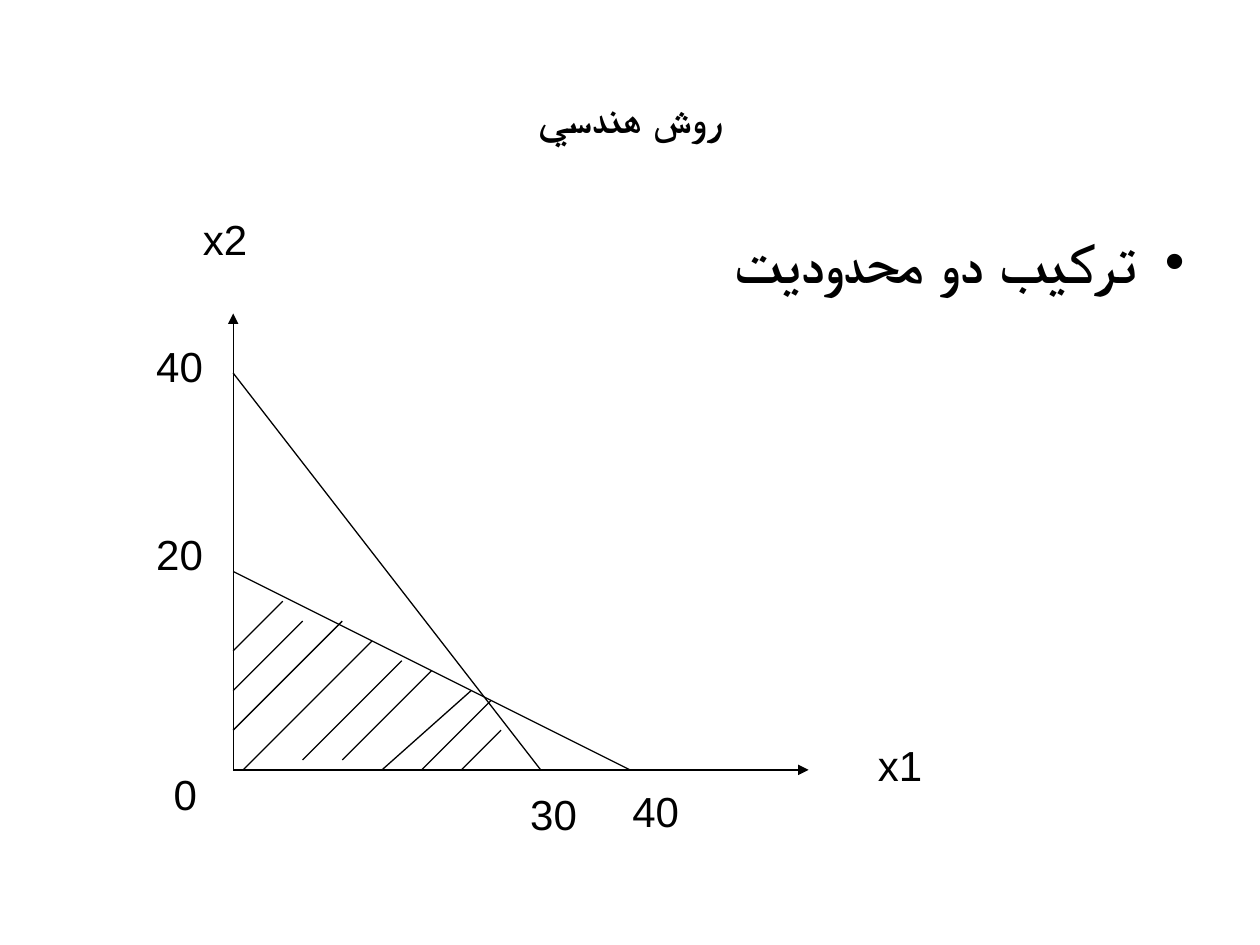
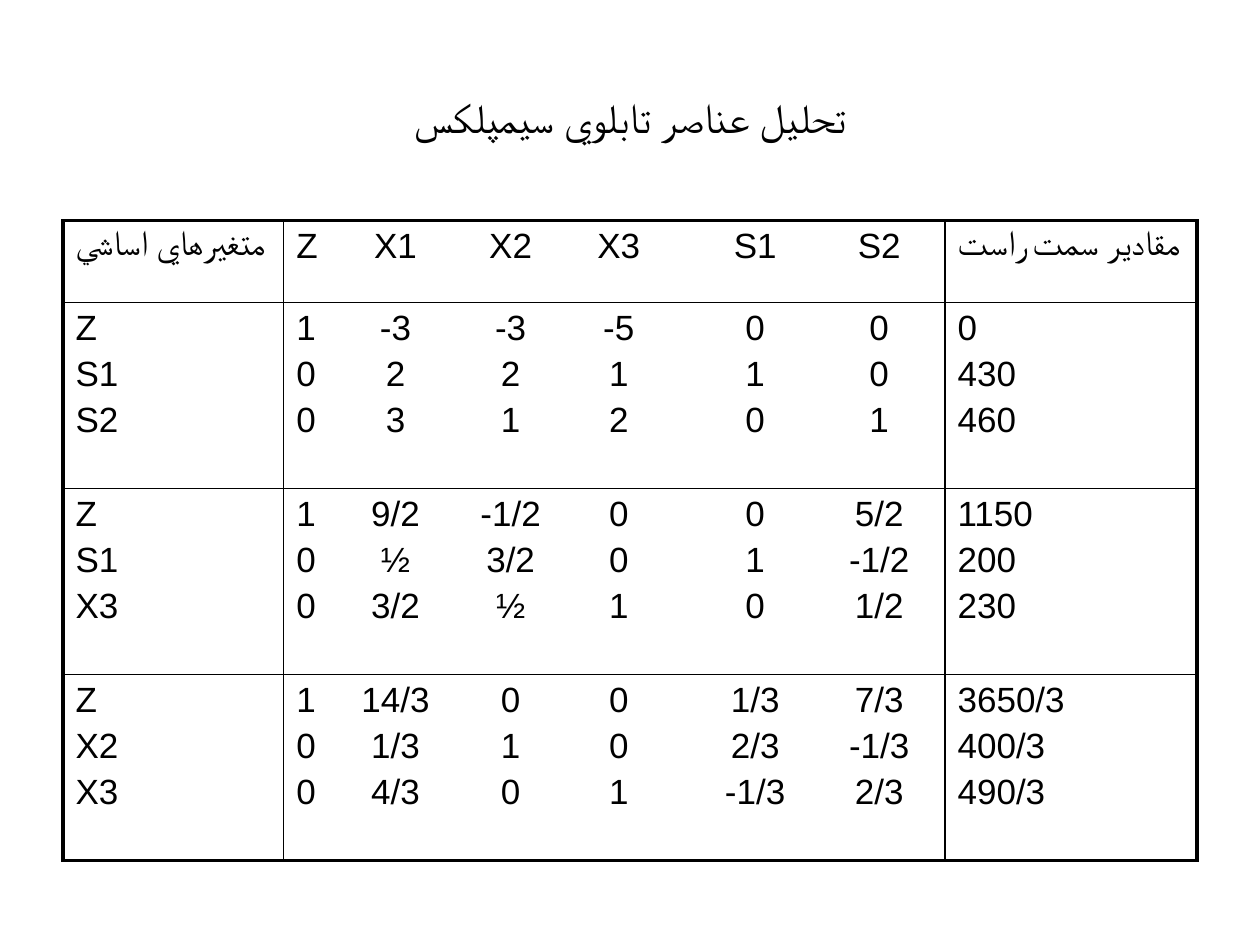
import pptx
import pptx.dml.color
import pptx.enum.shapes
import pptx.enum.text
import pptx.oxml.ns
import pptx.util
from lxml import etree
from pptx.util import Cm, Pt

BLACK = pptx.dml.color.RGBColor(0, 0, 0)
WHITE = pptx.dml.color.RGBColor(255, 255, 255)
FONT = "Arial"
ALIGN = pptx.enum.text.PP_ALIGN
qn = pptx.oxml.ns.qn

MARGIN = Cm(1.27)
CONTENT_WIDTH = Cm(22.86)
CONTENT_TOP = Cm(4.45)

# Graph: both axes share one scale
UNIT = 0.2
ORIGIN_X, ORIGIN_Y = 4.7, 15.52
AXES = [((0, 0), (0, 46)), ((0, 0), (58, 0))]
CONSTRAINTS = [((0, 40), (31, 0)), ((0, 20), (40, 0))]
HATCHING = [
    ((5, 17), (0, 12)), ((7, 15), (0, 8)), ((11, 15), (0, 4)),
    ((14, 13), (1, 0)), ((17, 11), (7, 1)), ((20, 10), (11, 1)),
    ((24, 8), (15, 0)), ((26, 7), (19, 0)), ((27, 4), (23, 0)),
]
GRAPH_LABELS = [
    ("x2", 3.84, 4.17, 1.4), ("40", 2.9, 6.73, 1.45), ("20", 2.9, 10.52, 1.45),
    ("0", 3.25, 15.37, 0.99), ("30", 10.44, 15.77, 1.45),
    ("40", 12.5, 15.72, 1.45), ("x1", 17.45, 14.78, 1.4),
]

# Each table row: basic variables, coefficient lines, right-hand sides
TABLEAU = [
    (["متغيرهاي اساسي"], ["Z X1 X2 X3 S1 S2"], ["مقادير سمت راست"]),
    (["Z", "S1", "S2"],
     ["1 -3 -3 -5 0 0", "0 2 2 1 1 0", "0 3 1 2 0 1"],
     ["0", "430", "460"]),
    (["Z", "S1", "X3"],
     ["1 9/2 -1/2 0 0 5/2", "0 ½ 3/2 0 1 -1/2", "0 3/2 ½ 1 0 1/2"],
     ["1150", "200", "230"]),
    (["Z", "X2", "X3"],
     ["1 14/3 0 0 1/3 7/3", "0 1/3 1 0 2/3 -1/3", "0 4/3 0 1 -1/3 2/3"],
     ["3650/3", "400/3", "490/3"]),
]
COLUMN_WIDTHS = [4.45, 13.33, 5.08]
ROW_HEIGHTS = [1.65, 3.75, 3.75, 3.75]
COEFFICIENT_STOPS = [2.0, 4.32, 6.5, 9.25, 11.75]
COEFFICIENT_COLUMN = 1
INNER_BORDER, OUTER_BORDER = Pt(1), Pt(2.25)


def format_paragraph(para, size, bold=False):
    para.font.name = FONT
    para.font.size = Pt(size)
    para.font.bold = bold
    para.font.color.rgb = BLACK


def add_page(layout, title, bold):
    """Add a slide with the shared title style; return it and the title paragraph."""
    page = deck.slides.add_slide(deck.slide_layouts[layout])
    box = page.shapes.title
    box.left, box.top, box.width, box.height = MARGIN, Cm(0.76), CONTENT_WIDTH, Cm(3.18)
    box.text_frame.text = title
    para = box.text_frame.paragraphs[0]
    para.alignment = ALIGN.CENTER
    format_paragraph(para, 24, bold)
    return page, para


deck = pptx.Presentation()
deck.slide_width, deck.slide_height = Cm(25.4), Cm(19.05)

# Slide 1: graphical method
page, title_para = add_page(1, "روش هندسي", True)
title_para._p.get_or_add_pPr().set("rtl", "1")

body = page.placeholders[1]
body.left, body.top, body.width, body.height = MARGIN, CONTENT_TOP, CONTENT_WIDTH, Cm(12.57)
body.text_frame.text = "ترکيب دو محدوديت"
para = body.text_frame.paragraphs[0]
para.alignment = ALIGN.RIGHT
para.space_before = Pt(0)
para._p.get_or_add_pPr().set("rtl", "1")
format_paragraph(para, 32, True)

for start, end in AXES + CONSTRAINTS + HATCHING:
    line = page.shapes.add_connector(
        pptx.enum.shapes.MSO_CONNECTOR.STRAIGHT,
        Cm(ORIGIN_X + start[0] * UNIT), Cm(ORIGIN_Y - start[1] * UNIT),
        Cm(ORIGIN_X + end[0] * UNIT), Cm(ORIGIN_Y - end[1] * UNIT))
    line.line.color.rgb = BLACK
    line.line.width = Pt(0.75)
    if (start, end) in AXES:
        etree.SubElement(line.line._get_or_add_ln(), qn("a:tailEnd"), type="triangle")
    etree.SubElement(line._element.spPr, qn("a:effectLst"))

for text, left, top, width in GRAPH_LABELS:
    box = page.shapes.add_textbox(Cm(left), Cm(top), Cm(width), Cm(1.27))
    box.text_frame.word_wrap = False
    box.text_frame.auto_size = pptx.enum.text.MSO_AUTO_SIZE.SHAPE_TO_FIT_TEXT
    box.text_frame.text = text
    format_paragraph(box.text_frame.paragraphs[0], 24)

# Slide 2: simplex tableau
page, title_para = add_page(5, "تحليل عناصر تابلوي سيمپلكس", False)
last_row, last_column = len(TABLEAU) - 1, len(COLUMN_WIDTHS) - 1
table = page.shapes.add_table(
    len(TABLEAU), len(COLUMN_WIDTHS), MARGIN, CONTENT_TOP,
    CONTENT_WIDTH, Cm(sum(ROW_HEIGHTS))).table
table.first_row = table.horz_banding = False
for column, width in zip(table.columns, COLUMN_WIDTHS):
    column.width = Cm(width)
for row, height in zip(table.rows, ROW_HEIGHTS):
    row.height = Cm(height)

for r, row_cells in enumerate(TABLEAU):
    for c, lines in enumerate(row_cells):
        cell = table.cell(r, c)
        properties = cell._tc.get_or_add_tcPr()
        outer_sides = {"lnL": c == 0, "lnR": c == last_column,
                       "lnT": r == 0, "lnB": r == last_row}
        for side, is_outer in outer_sides.items():
            width = OUTER_BORDER if is_outer else INNER_BORDER
            border = etree.SubElement(properties, qn(f"a:{side}"), w=str(width))
            fill = etree.SubElement(border, qn("a:solidFill"))
            etree.SubElement(fill, qn("a:srgbClr"), val=str(BLACK))
        cell.fill.solid()
        cell.fill.fore_color.rgb = WHITE

        if c == COEFFICIENT_COLUMN:
            lines = [line.replace(" ", "\t") for line in lines]
        cell.text_frame.text = "\n".join(lines)
        for i, para in enumerate(cell.text_frame.paragraphs):
            para.space_before = Pt(4 if i else 0)
            if c == COEFFICIENT_COLUMN:
                tabs = etree.SubElement(para._p.get_or_add_pPr(), qn("a:tabLst"))
                for stop in COEFFICIENT_STOPS:
                    etree.SubElement(tabs, qn("a:tab"), pos=str(Cm(stop)), algn="ctr")
            format_paragraph(para, 20)

deck.save("out.pptx")
